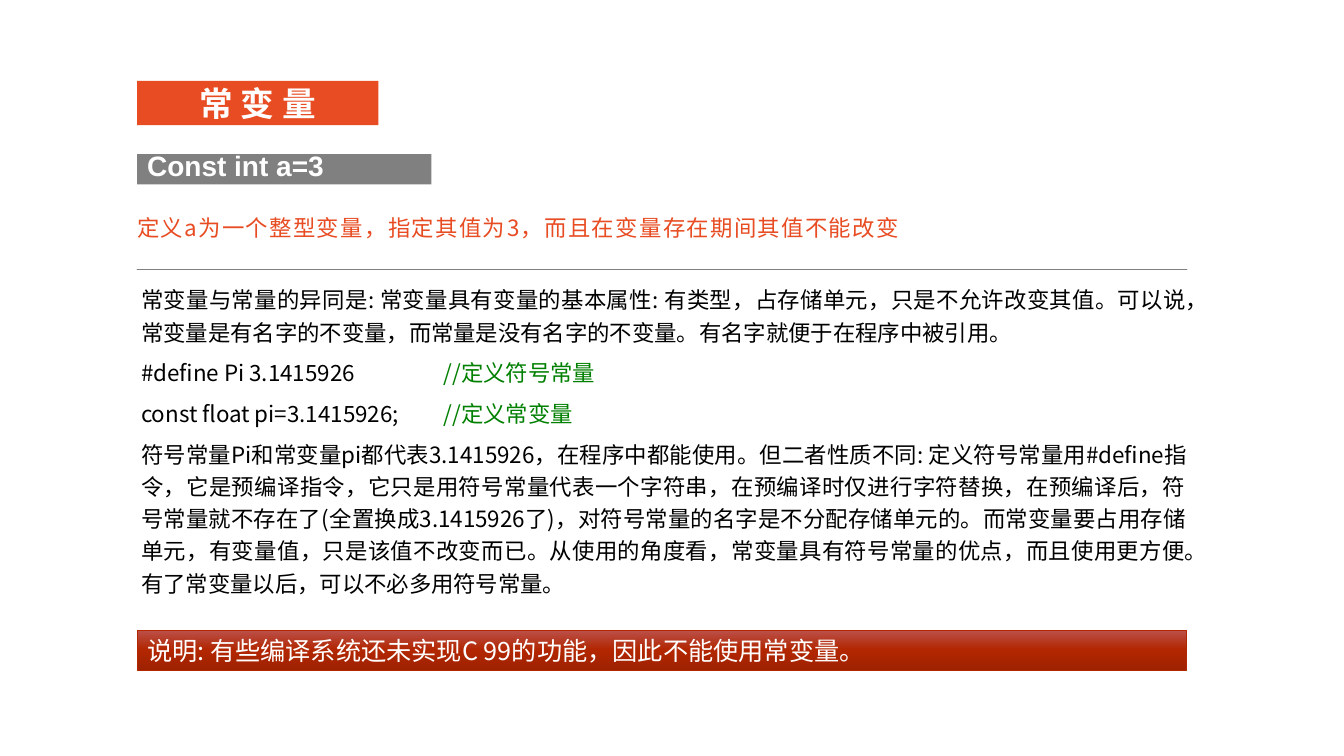
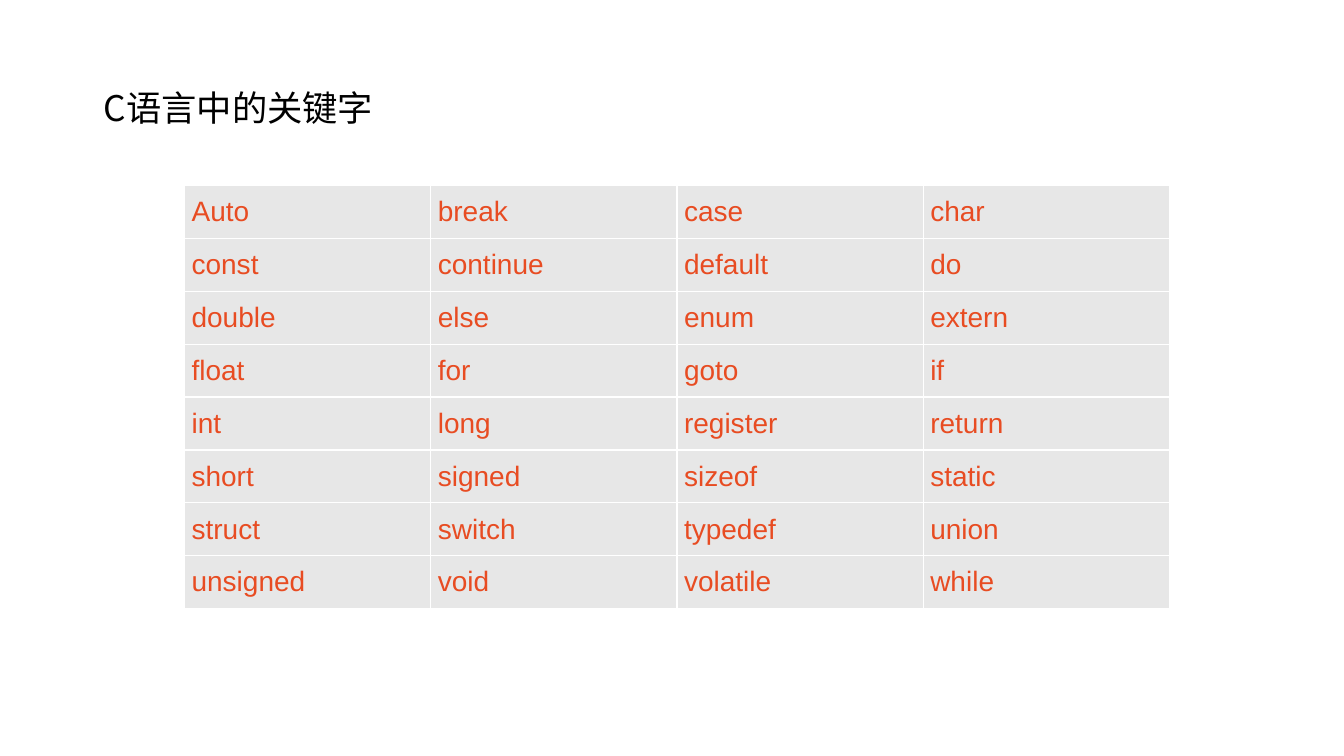
from dataclasses import dataclass
from typing import Optional

from lxml.etree import SubElement
from pptx import Presentation
from pptx.dml.color import RGBColor
from pptx.enum.shapes import MSO_SHAPE
from pptx.enum.text import MSO_ANCHOR, PP_ALIGN
from pptx.oxml.ns import qn
from pptx.util import Emu, Inches, Pt

WIDTH, HEIGHT = Inches(13.33), Inches(7.5)
LEFT, SPAN = 10.2, 78.1
CJK, LATIN = "Noto Sans CJK SC", "Arial"
COLORS = {
    "accent": "E84C22", "gray": "808080", "white": "FFFFFF", "black": "000000",
    "comment": "008000", "cell": "E7E7E7", "note_top": "BB514B",
    "note": "B22600", "note_bottom": "9E2200",
}
KEYWORDS = """
Auto break case char
const continue default do
double else enum extern
float for goto if
int long register return
short signed sizeof static
struct switch typedef union
unsigned void volatile while
"""


@dataclass(frozen=True)
class Area:
    """Position and size in percent of the slide's width and height."""
    left: float
    top: float
    width: float
    height: float

    def box(self) -> tuple:
        """Return left, top, width and height as slide lengths."""
        return (across(self.left), down(self.top),
                across(self.width), down(self.height))


@dataclass(frozen=True)
class Style:
    """Look of one run of text."""
    size: float
    color: str = "black"
    font: str = CJK
    bold: bool = False
    tracking: float = 0


@dataclass(frozen=True)
class Layout:
    """Paragraph and frame settings of a block of text."""
    align: PP_ALIGN = PP_ALIGN.LEFT
    anchor: MSO_ANCHOR = MSO_ANCHOR.MIDDLE
    insets: tuple = (0, 0, 0, 0)
    line: float = 1.0
    after: float = 0
    tab: float = 0


@dataclass(frozen=True)
class Block:
    """An area with paragraphs of (text, style) runs, a fill and a top rule."""
    area: Area
    paragraphs: tuple
    layout: Layout
    fill: Optional[str] = None
    gradient: tuple = ()
    rule: Optional[str] = None


def across(share: float) -> Emu:
    """Convert a percentage of the slide's width to a length."""
    return Emu(round(WIDTH * share / 100))


def down(share: float) -> Emu:
    """Convert a percentage of the slide's height to a length."""
    return Emu(round(HEIGHT * share / 100))


def rgb(name: str) -> RGBColor:
    """Look up a named colour."""
    return RGBColor.from_string(COLORS[name])


def add_run(paragraph, text: str, style: Style) -> None:
    """Append one styled run to a paragraph."""
    run = paragraph.add_run()
    run.text = text
    run.font.size = Pt(style.size)
    run.font.bold = style.bold
    run.font.color.rgb = rgb(style.color)
    run.font.name = style.font
    properties = run.font._element
    SubElement(properties, qn("a:ea")).set("typeface", style.font)
    if style.tracking:
        properties.set("spc", str(round(style.tracking * 100)))


def write(frame, paragraphs: tuple, layout: Layout) -> None:
    """Fill a text frame with paragraphs."""
    frame.word_wrap = True
    frame.vertical_anchor = layout.anchor
    (frame.margin_left, frame.margin_top,
     frame.margin_right, frame.margin_bottom) = map(Inches, layout.insets)
    for index, runs in enumerate(paragraphs):
        paragraph = frame.add_paragraph() if index else frame.paragraphs[0]
        paragraph.alignment = layout.align
        paragraph.line_spacing = layout.line
        paragraph.space_after = Pt(layout.after)
        if layout.tab:
            stops = SubElement(paragraph._p.get_or_add_pPr(), qn("a:tabLst"))
            SubElement(stops, qn("a:tab"), pos=str(Inches(layout.tab)), algn="l")
        for text, style in runs:
            add_run(paragraph, text, style)


def shade(shape, names: tuple) -> None:
    """Give a shape an evenly spaced vertical gradient."""
    shape.fill.gradient()
    shape.fill.gradient_angle = 270
    stops = shape._element.spPr.find(qn("a:gradFill")).find(qn("a:gsLst"))
    stops.clear()
    for index, name in enumerate(names):
        position = str(100000 * index // (len(names) - 1))
        stop = SubElement(stops, qn("a:gs"), pos=position)
        SubElement(stop, qn("a:srgbClr"), val=COLORS[name])


def add_band(slide, block: Block):
    """Add a filled rectangle."""
    band = slide.shapes.add_shape(MSO_SHAPE.RECTANGLE, *block.area.box())
    band.shadow.inherit = False
    if block.gradient:
        shade(band, block.gradient)
        band.line.color.rgb = rgb(block.fill)
        band.line.width = Pt(0.5)
    else:
        band.fill.solid()
        band.fill.fore_color.rgb = rgb(block.fill)
        band.line.fill.background()
    return band


def add_ruled_panel(slide, block: Block):
    """Add an open panel whose only visible edge is its top rule."""
    left, top, width, height = block.area.box()
    outline = slide.shapes.build_freeform(left, top)
    outline.add_line_segments([(left + width, top), (left, top)], close=True)
    outline.move_to(left, top + height)
    panel = outline.convert_to_shape()
    panel.shadow.inherit = False
    panel.fill.background()
    panel.line.color.rgb = rgb(block.rule)
    panel.line.width = Pt(0.75)
    return panel


def draw_block(slide, block: Block) -> None:
    """Draw a block as a band, a ruled panel or plain text."""
    if block.fill:
        shape = add_band(slide, block)
    elif block.rule:
        shape = add_ruled_panel(slide, block)
    else:
        shape = slide.shapes.add_textbox(*block.area.box())
    write(shape.text_frame, block.paragraphs, block.layout)


def draw_borders(cell) -> None:
    """Edge a table cell with thin white lines."""
    properties = cell._tc.get_or_add_tcPr()
    for index, side in enumerate(("lnL", "lnR", "lnT", "lnB")):
        edge = properties.makeelement(qn(f"a:{side}"), {"w": str(Pt(1))})
        fill = SubElement(edge, qn("a:solidFill"))
        SubElement(fill, qn("a:srgbClr"), val=COLORS["white"])
        properties.insert(index, edge)


def draw_keywords(slide, area: Area) -> None:
    """Draw the table of C keywords."""
    rows = [line.split() for line in KEYWORDS.strip().splitlines()]
    table = slide.shapes.add_table(len(rows), len(rows[0]), *area.box()).table
    table.first_row = table.horz_banding = False
    layout = Layout(PP_ALIGN.JUSTIFY, insets=(0.07, 0, 0.07, 0))
    style = Style(20, "accent", LATIN)
    for row, words in enumerate(rows):
        for column, word in enumerate(words):
            cell = table.cell(row, column)
            cell.fill.solid()
            cell.fill.fore_color.rgb = rgb("cell")
            write(cell.text_frame, (((word, style),),), layout)
            cell.vertical_anchor = layout.anchor
            cell.margin_left, cell.margin_top, cell.margin_right, cell.margin_bottom = map(
                Inches, layout.insets)
            draw_borders(cell)


BODY = Style(16)
COMMENT = Style(16, "comment")
CONSTANT_BLOCKS = (
    Block(Area(LEFT, 10.7, 17.95, 5.87),
          ((("常 变 量", Style(24, "white", bold=True)),),),
          Layout(PP_ALIGN.CENTER), "accent"),
    Block(Area(LEFT, 20.4, 21.9, 4),
          ((("Const int a=3", Style(20, "white", LATIN, True)),),),
          Layout(PP_ALIGN.JUSTIFY, insets=(0.1, 0.05, 0.12, 0.12)), "gray"),
    Block(Area(LEFT, 35.6, SPAN, 46), (
        (("常变量与常量的异同是: 常变量具有变量的基本属性: 有类型，占存储单元，只是不允许改变其值。"
          "可以说，常变量是有名字的不变量，而常量是没有名字的不变量。有名字就便于在程序中被引用。", BODY),),
        (("#define Pi 3.1415926\t", BODY), ("//定义符号常量", COMMENT)),
        (("const float pi=3.1415926;\t", BODY), ("//定义常变量", COMMENT)),
        (("符号常量Pi和常变量pi都代表3.1415926，在程序中都能使用。但二者性质不同: "
          "定义符号常量用#define指令，它是预编译指令，它只是用符号常量代表一个字符串，"
          "在预编译时仅进行字符替换，在预编译后，符号常量就不存在了(全置换成3.1415926了)，"
          "对符号常量的名字是不分配存储单元的。而常变量要占用存储单元，有变量值，"
          "只是该值不改变而已。从使用的角度看，常变量具有符号常量的优点，而且使用更方便。"
          "有了常变量以后，可以不必多用符号常量。", BODY),),
    ), Layout(PP_ALIGN.JUSTIFY, MSO_ANCHOR.TOP, (0.04, 0.12, 0, 0), 1.2, 6, 3), rule="gray"),
    Block(Area(LEFT, 27.87, 78.47, 4.53),
          ((("定义a为一个整型变量，指定其值为3，而且在变量存在期间其值不能改变",
             Style(16, "accent", tracking=1)),),),
          Layout()),
    Block(Area(LEFT, 83.33, SPAN, 5.33),
          ((("说明: 有些编译系统还未实现C 99的功能，因此不能使用常变量。", Style(18, "white")),),),
          Layout(insets=(0.1, 0, 0.1, 0)), "note", ("note_top", "note", "note_bottom")),
)
KEYWORD_TITLE = Block(
    Area(6.98, 7.2, 22.73, 12.93), ((("C语言中的关键字", Style(25.2)),),),
    Layout(insets=(0.1, 0.05, 0.1, 0.05), line=1.2))


def main() -> None:
    """Build and save the two slides."""
    deck = Presentation()
    deck.slide_width, deck.slide_height = WIDTH, HEIGHT
    blank = deck.slide_layouts[6]
    constants = deck.slides.add_slide(blank)
    for block in CONSTANT_BLOCKS:
        draw_block(constants, block)
    keywords = deck.slides.add_slide(blank)
    draw_block(keywords, KEYWORD_TITLE)
    draw_keywords(keywords, Area(13.73, 24.53, 73.29, 56))
    deck.save("out.pptx")


if __name__ == "__main__":
    main()
